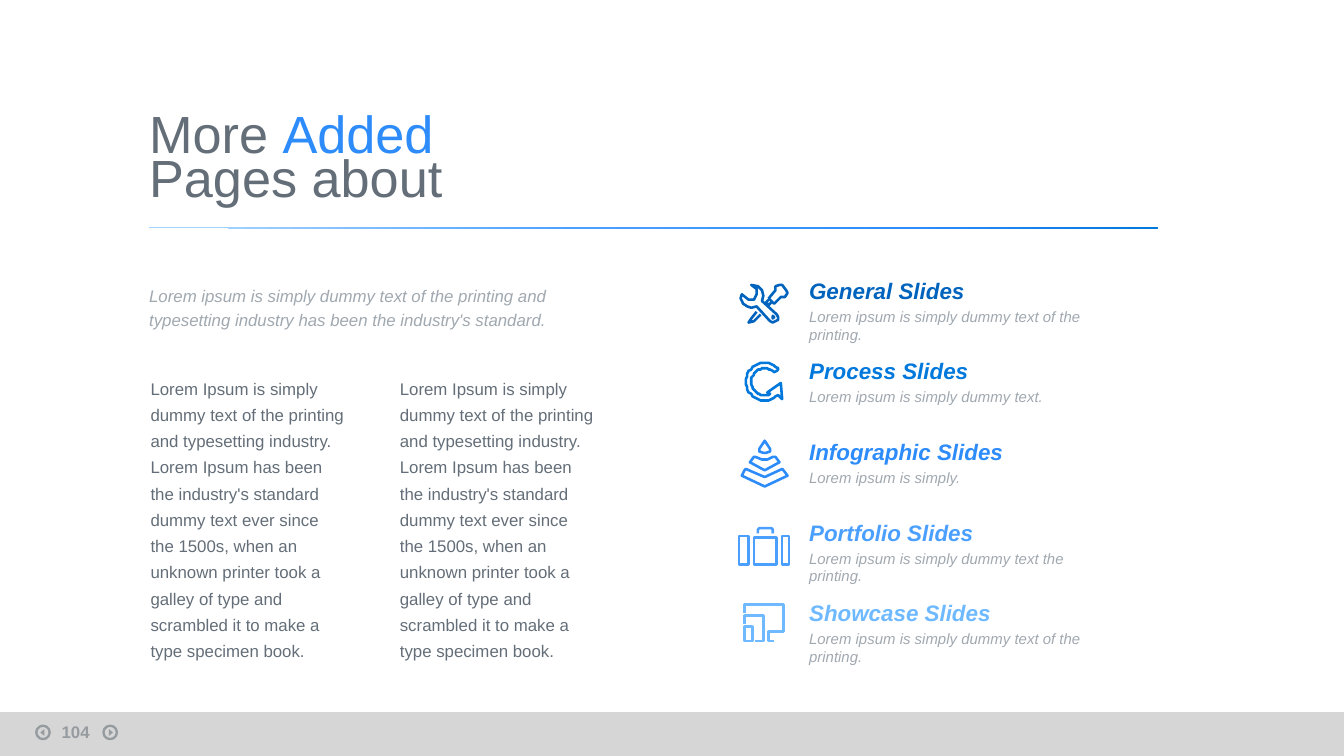
from math import cos, radians, sin

from lxml import etree
from pptx import Presentation
from pptx.dml.color import RGBColor
from pptx.enum.shapes import MSO_SHAPE
from pptx.enum.text import MSO_ANCHOR, PP_ALIGN
from pptx.oxml.ns import qn
from pptx.util import Inches, Pt

RECTANGLE, OVAL = MSO_SHAPE.RECTANGLE, MSO_SHAPE.OVAL
TRIANGLE = MSO_SHAPE.ISOSCELES_TRIANGLE
TOP, MIDDLE, LEFT = MSO_ANCHOR.TOP, MSO_ANCHOR.MIDDLE, PP_ALIGN.LEFT
WIDTH, HEIGHT = 10, 5.625
MARGIN = 1.11
FONT = "Arial"
SLATE, GREY, INK, BLUE = "646E78", "A0A8B0", "051423", "2D8CFA"
FADED = 30
GRADIENT = [(7, "A0D2FF"), (42, "4BA0FF"), (76, BLUE), (100, "0078DC")]
INTRO = ("Lorem ipsum is simply dummy text of the printing and typesetting "
         "industry has been the industry's standard.")
BODY = ("Lorem Ipsum is simply dummy text of the printing and typesetting industry. "
        "Lorem Ipsum has been the industry's standard dummy text ever since the 1500s, "
        "when an unknown printer took a galley of type and scrambled it to make a type "
        "specimen book.")


def arc(x, y, radius, start, end, steps=32):
    angles = [radians(start + (end - start) * i / steps) for i in range(steps + 1)]
    return [(x + radius * cos(a), y + radius * sin(a)) for a in angles]


def box(left, top, right, bottom):
    return [(left, top), (right, top), (right, bottom), (left, bottom)]


# Icons are lists of (closed, points), in hundredths of an inch.
TOOLS = [
    (True, [(10, 6), (14, 9), (14.5, 13), (12, 17), (8, 17), (3, 13), (2.5, 16),
            (4, 20), (7, 22.5), (10, 23), (13.5, 22), (24, 33), (26.5, 34),
            (29.5, 32.5), (30, 30), (29, 28), (18.5, 18), (19, 14), (17.5, 9.5),
            (15, 7)]),
    (True, [(31, 6), (28.5, 7), (28, 10.5), (23, 15.5), (27, 20), (32.5, 15),
            (35, 15), (37, 12), (36, 9.5), (33, 6.5)]),
    (False, [(23, 17), (21, 19), (23, 21), (25, 19)]),
    (False, [(14.5, 25.5), (10, 31), (8.5, 34), (12, 33), (17, 28)]),
    (True, arc(26.5, 30, 0.6, 0, 315, 7)),
]
CYCLE = [
    (True, arc(20, 18, 14, -45, -315)
     + [(33, 31), (32, 19), (22, 25.5), (24.5, 27)]
     + arc(20, 18, 10, -293, -48) + [(29, 10.5), (30.2, 9.2)]),
]
PYRAMID = [
    (True, [(20, 2), (24.5, 8.5), (24, 9.5), (21, 11), (19, 11), (16, 9.5),
            (15.5, 8.5)]),
    (True, [(13, 13.5), (18, 16), (22, 16), (26.5, 13.5), (28, 14.5), (31, 18),
            (20, 24), (9, 18), (11.5, 14.5)]),
    (True, [(20, 29), (33, 23), (34.5, 24), (37, 28), (20, 36.5), (3, 28),
            (5, 24), (6.5, 23)]),
]
SUITCASE = [
    (False, [(15, 11), (15, 8.5), (16.5, 7), (25, 7), (26, 8.5), (26, 11)]),
    (True, box(1, 13, 8, 34)),
    (True, box(12, 13.5, 29, 33.5)),
    (True, box(33, 13, 38, 34)),
]
DEVICES = [
    (False, [(5, 10), (5, 4), (34, 4), (34, 24), (23, 24), (23, 31), (27, 31)]),
    (False, [(5, 18), (5, 12), (19, 12), (19, 31), (13, 31)]),
    (True, box(5, 20, 11, 31)),
]
TOPICS = [
    ("General Slides", "Lorem ipsum is simply dummy text of the printing.", "0064BE", TOOLS),
    ("Process Slides", "Lorem ipsum is simply dummy text.", "0078DC", CYCLE),
    ("Infographic Slides", "Lorem ipsum is simply.", BLUE, PYRAMID),
    ("Portfolio Slides", "Lorem ipsum is simply dummy text the printing.", "4BA0FF", SUITCASE),
    ("Showcase Slides", "Lorem ipsum is simply dummy text of the printing.", "6EB9FF", DEVICES),
]


def color(hex_string):
    return RGBColor.from_string(hex_string)


def set_opacity(element, percent):
    for node in element.iter(qn("a:srgbClr")):
        etree.SubElement(node, qn("a:alpha"), val=str(percent * 1000))


def style(paragraph, size, hex_string, bold=False, italic=False):
    font = paragraph.font
    font.name, font.size, font.bold, font.italic = FONT, Pt(size), bold, italic
    font.color.rgb = color(hex_string)


def set_frame(frame, anchor=TOP, inset=0):
    frame.word_wrap = True
    frame.vertical_anchor = anchor
    frame.margin_left = frame.margin_right = Inches(inset)
    frame.margin_top = frame.margin_bottom = Inches(inset / 2)


def add_text(slide, area, text, anchor=TOP, inset=0):
    frame = slide.shapes.add_textbox(*map(Inches, area)).text_frame
    set_frame(frame, anchor, inset)
    frame.text = text
    return frame


def add_plain(slide, preset, area, fill=None):
    shape = slide.shapes.add_shape(preset, *map(Inches, area))
    shape.shadow.inherit = False
    shape.line.fill.background()
    if fill:
        shape.fill.solid()
        shape.fill.fore_color.rgb = color(fill)
    else:
        shape.fill.background()
    return shape


def add_title(slide, area):
    title = slide.shapes.title
    title.left, title.top, title.width, title.height = map(Inches, area)
    frame = title.text_frame
    set_frame(frame, MIDDLE)
    frame.text = "More \nPages about"
    for paragraph in frame.paragraphs:
        paragraph.alignment, paragraph.line_spacing = LEFT, 0.7
        paragraph.space_before = Pt(0)
        style(paragraph, 28, SLATE)
    accent = frame.paragraphs[0].add_run()
    accent.text = "Added"
    accent.font.color.rgb = color(BLUE)


def add_gradient_rule(slide, area):
    rule = add_plain(slide, RECTANGLE, area)
    rule.fill.gradient()
    rule.fill.gradient_angle = 40
    stops = next(rule.element.iter(qn("a:gsLst")))
    for stop in list(stops):
        stops.remove(stop)
    for position, hex_string in GRADIENT:
        stop = etree.SubElement(stops, qn("a:gs"), pos=str(position * 1000))
        etree.SubElement(stop, qn("a:srgbClr"), val=hex_string)


def add_copy(slide, left, width):
    """Intro line above the two-column body text."""
    intro = add_text(slide, (left, 2.05, width, 0.45), INTRO, MIDDLE).paragraphs[0]
    intro.line_spacing = Pt(13)
    style(intro, 9, GREY, italic=True)
    body = add_text(slide, (left + 0.01, 2.77, width, 2.01), f"{BODY} {BODY}")
    columns = next(body.paragraphs[0]._p.iterancestors()).find(qn("a:bodyPr"))
    columns.set("numCol", "2")
    columns.set("spcCol", str(Inches(0.4)))
    body.paragraphs[0].line_spacing = 1.3
    style(body.paragraphs[0], 9, SLATE)


def add_icon(slide, left, top, strokes, hex_string):
    builder = slide.shapes.build_freeform(*strokes[0][1][0], scale=Inches(0.01))
    for closed, points in strokes:
        builder.move_to(*points[0])
        builder.add_line_segments(points[1:], close=closed)
    icon = builder.convert_to_shape(Inches(left), Inches(top))
    icon.shadow.inherit = False
    icon.fill.background()
    icon.line.color.rgb = color(hex_string)
    icon.line.width = Pt(1.4)


def add_topics(slide, left, top, pitch):
    for row, (name, note, hex_string, strokes) in enumerate(TOPICS):
        y = top + row * pitch
        add_icon(slide, left, y, strokes, hex_string)
        frame = add_text(slide, (left + 0.53, y, 2.28, 0.36), f"{name}\n{note}")
        heading, detail = frame.paragraphs
        style(heading, 12, hex_string, bold=True, italic=True)
        style(detail, 8, GREY, italic=True)
        detail.space_before = Pt(1.9)


def add_page_arrow(slide, center_x, center_y, rotation, shift):
    ring = add_plain(slide, OVAL, (center_x - 0.05, center_y - 0.05, 0.1, 0.1))
    ring.line.color.rgb = color(INK)
    ring.line.width = Pt(1.25)
    arrow = add_plain(slide, TRIANGLE,
                      (center_x - 0.025 + shift, center_y - 0.015, 0.05, 0.03), INK)
    arrow.rotation = rotation
    for shape in (ring, arrow):
        set_opacity(shape.element, FADED)


def add_footer(slide, top):
    bar = add_plain(slide, RECTANGLE, (0, top, WIDTH, HEIGHT - top), "D2D2D2")
    set_opacity(bar.element, 90)
    add_page_arrow(slide, 0.32, top + 0.15, 270, -0.005)
    add_page_arrow(slide, 0.82, top + 0.15, 90, 0.005)
    number = add_text(slide, (0.36, top + 0.02, 0.42, 0.21), "104", inset=0.1)
    number.word_wrap = False
    style(number.paragraphs[0], 9, INK, bold=True)
    set_opacity(number.paragraphs[0]._p, FADED)


def main():
    presentation = Presentation()
    presentation.slide_width, presentation.slide_height = Inches(WIDTH), Inches(HEIGHT)
    slide = presentation.slides.add_slide(presentation.slide_layouts[5])
    add_footer(slide, 5.3)
    add_title(slide, (MARGIN, 0.68, 2.79, 1.05))
    add_copy(slide, MARGIN, 3.31)
    add_topics(slide, 5.49, 2.06, 0.6)
    add_gradient_rule(slide, (MARGIN, 1.69, 7.5, 0.01))
    presentation.save("out.pptx")


if __name__ == "__main__":
    main()
